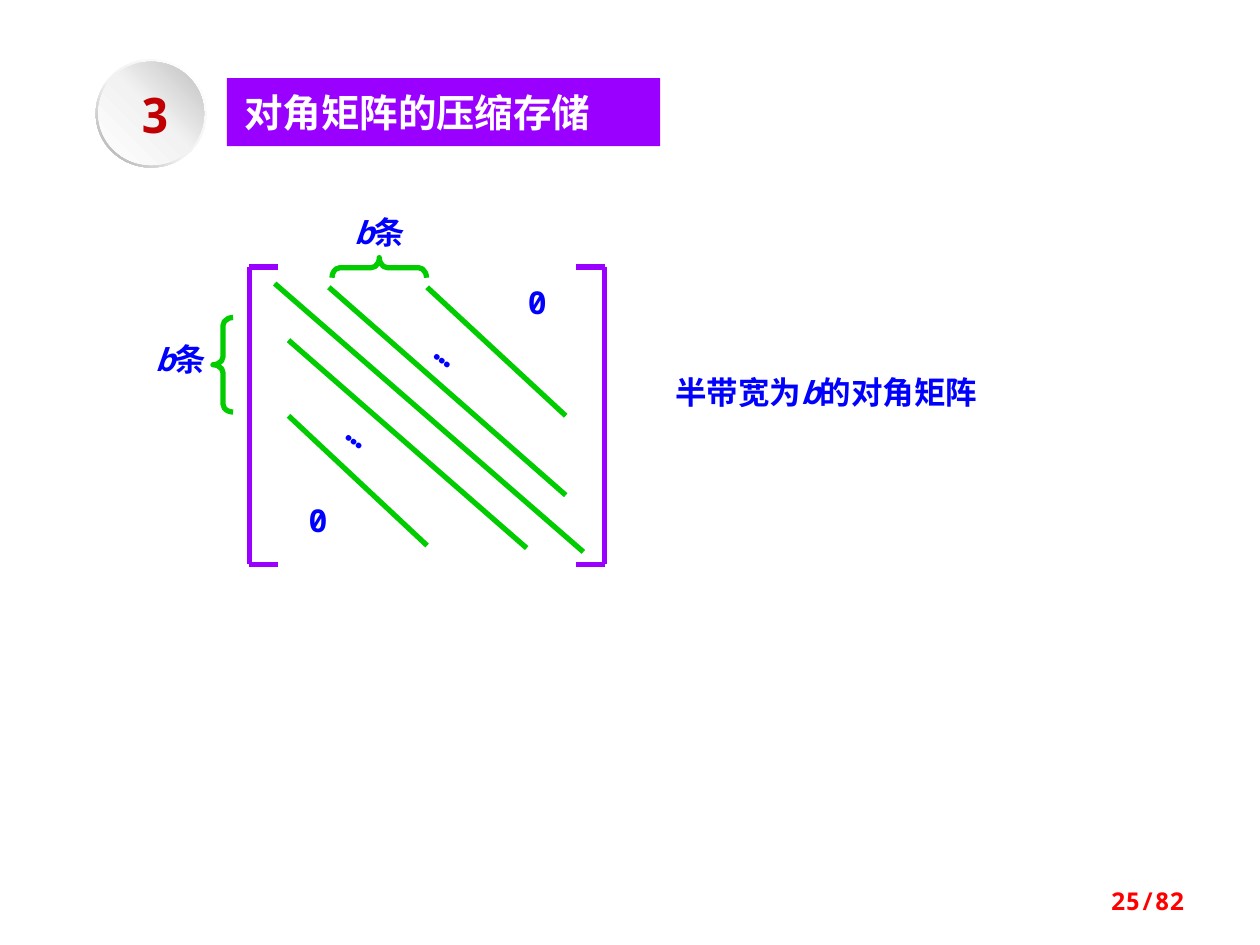
"""Build the slide on compressed storage of a diagonal matrix."""
from copy import deepcopy

from lxml.etree import SubElement
from pptx import Presentation
from pptx.dml.color import RGBColor
from pptx.enum.shapes import MSO_CONNECTOR as Link, MSO_SHAPE as Shape
from pptx.enum.text import MSO_ANCHOR as Anchor, PP_ALIGN as Align
from pptx.oxml.ns import qn
from pptx.util import Inches, Pt

PURPLE = RGBColor(0x99, 0x00, 0xFF)
GREEN = RGBColor(0x00, 0xCC, 0x00)
BLUE = RGBColor(0x00, 0x00, 0xFF)
RED = RGBColor(0xFF, 0x00, 0x00)
DARK_RED = RGBColor(0xC0, 0x00, 0x02)
WHITE = RGBColor(0xFF, 0xFF, 0xFF)
PALE = RGBColor(0xF2, 0xF2, 0xF2)
SILVER = RGBColor(0xBF, 0xBF, 0xBF)
GREY = RGBColor(0xA6, 0xA6, 0xA6)
MONO, CJK = "Noto Sans Mono", "Noto Sans CJK SC"

deck = Presentation()
deck.slide_width, deck.slide_height = Inches(10), Inches(7.5)
CELL = deck.slide_width / 10
shapes = deck.slides.add_slide(deck.slide_layouts[6]).shapes


def grid(*cells):
    return [round(cell * CELL) for cell in cells]


def write(holder, parts, size=18, color=BLUE, align=Align.CENTER, face=MONO):
    frame = holder.text_frame
    frame.word_wrap = True
    paragraph = frame.paragraphs[0]
    paragraph.alignment = align
    font = paragraph.font
    font.size, font.bold, font.name = Pt(size), True, face
    font.color.rgb = color
    defaults = paragraph._p.pPr.find(qn("a:defRPr"))
    SubElement(defaults, qn("a:ea")).set("typeface", CJK)
    for part in parts:
        run = paragraph.add_run()
        run.text = part
        if part == "b":
            run.font.italic = True
    return frame


banner = shapes.add_shape(Shape.RECTANGLE, *grid(1.8, 0.62, 3.44, 0.54))
banner.shadow.inherit = False
banner.fill.solid()
banner.fill.fore_color.rgb = PURPLE
banner.line.fill.background()
heading = write(banner, ["对角矩阵的压缩存储"], 22, WHITE, Align.LEFT, CJK)
heading.margin_left, = grid(0.14)

caption = shapes.add_textbox(*grid(5.26, 2.91, 3.64, 0.4))
write(caption, ["半带宽为", "b", "的对角矩阵"], align=Align.LEFT)

TOP, BOTTOM, SERIF = 2.12, 4.48, 0.23
strokes = []
for side, inward in ((1.98, SERIF), (4.8, -SERIF)):
    strokes.append((PURPLE, side, TOP, side, BOTTOM))
    strokes += [(PURPLE, side, edge, side + inward, edge) for edge in (TOP, BOTTOM)]
strokes += [
    (GREEN, 2.18, 2.25, 4.63, 4.38),
    (GREEN, 2.61, 2.28, 4.49, 3.93),
    (GREEN, 3.39, 2.28, 4.49, 3.3),
    (GREEN, 2.29, 2.7, 4.18, 4.35),
    (GREEN, 2.29, 3.3, 3.39, 4.33),
]
for color, *ends in strokes:
    stroke = shapes.add_connector(Link.STRAIGHT, *grid(*ends))
    stroke.line.color.rgb = color
    stroke.line.width = Pt(3)
    SubElement(stroke._element.spPr, qn("a:effectLst"))

for left, top, turn in ((1.69, 2.52, 0), (2.93, 1.75, 90)):
    brace = shapes.add_shape(Shape.LEFT_BRACE, *grid(left, top, 0.16, 0.75))
    brace.adjustments[0] = 0.395
    brace.rotation = turn
    brace.shadow.inherit = False
    brace.fill.background()
    brace.line.color.rgb = GREEN
    brace.line.width = Pt(3)

for left, top, turn, parts in (
    (1.04, 2.65, 0, ["b", "条"]),
    (2.62, 1.64, 0, ["b", "条"]),
    (2.13, 3.93, 0, ["0"]),
    (3.87, 2.2, 0, ["0"]),
    (2.46, 3.25, 36.9, ["…"]),
    (3.16, 2.6, 36.9, ["…"]),
):
    label = shapes.add_textbox(*grid(left, top, 0.79, 0.4))
    label.rotation = turn
    write(label, parts)

for preset, place, angle, middle, edge_color in (
    (Shape.DONUT, (0.76, 0.47, 0.88, 0.86), 225, 0.55, GREY),
    (Shape.OVAL, (0.78, 0.49, 0.84, 0.82), 45, 0.51, SILVER),
):
    badge = shapes.add_shape(preset, *grid(*place))
    if preset == Shape.DONUT:
        badge.adjustments[0] = 0.05
    badge.shadow.inherit = False
    badge.line.fill.background()
    badge.fill.gradient()
    badge.fill.gradient_angle = angle
    first_stop = badge.fill._xPr.find(qn("a:gradFill")).find(qn("a:gsLst"))[0]
    first_stop.addnext(deepcopy(first_stop))
    tones = ((0, WHITE), (middle, PALE), (1, edge_color))
    for stop, (position, tone) in zip(badge.fill.gradient_stops, tones):
        stop.position = position
        stop.color.rgb = tone

number = write(shapes.add_textbox(*grid(1, 0.67, 0.46, 0.47)), ["3"], 28, DARK_RED)
number.margin_left = number.margin_right = number.margin_top = number.margin_bottom = 0

page = shapes.add_textbox(*grid(7.17, 6.95, 2.33, 0.4))
write(page, ["25/82"], 14, RED, Align.RIGHT).vertical_anchor = Anchor.MIDDLE

deck.save("out.pptx")
